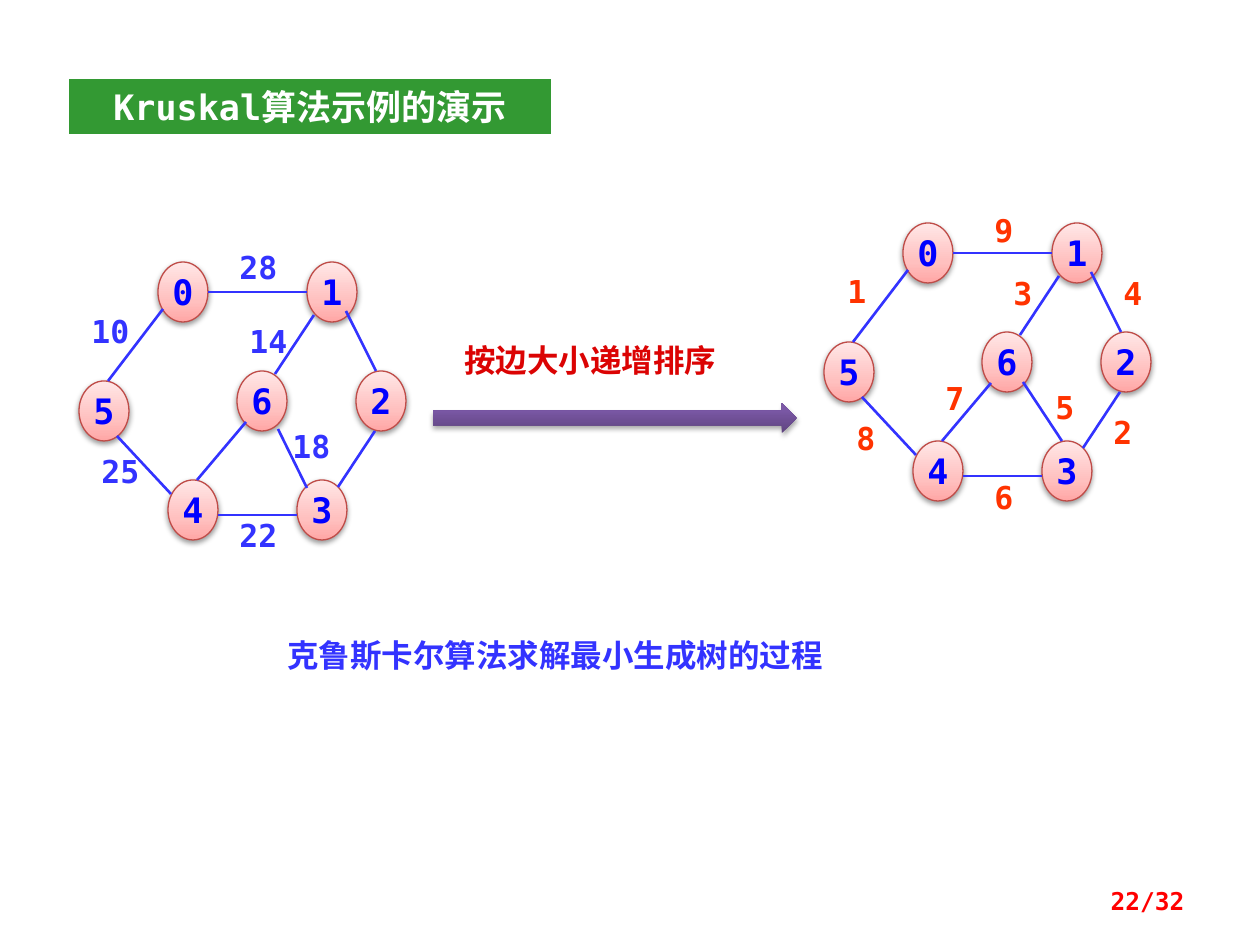
from lxml import etree
from pptx import Presentation
from pptx.dml.color import RGBColor
from pptx.enum.shapes import MSO_CONNECTOR, MSO_SHAPE
from pptx.enum.text import MSO_ANCHOR, PP_ALIGN
from pptx.oxml.ns import qn
from pptx.util import Emu, Pt

SCALE = 914400 / 126
MONO, SERIF, CJK = "DejaVu Sans Mono", "Times New Roman", "Noto Sans CJK SC"
WHITE = RGBColor(0xFF, 0xFF, 0xFF)
GREEN = RGBColor(0x33, 0x99, 0x33)
BLUE = RGBColor(0x33, 0x33, 0xFF)
DIGIT_BLUE = RGBColor(0x00, 0x00, 0xFF)
ORANGE = RGBColor(0xFF, 0x33, 0x00)
RED = RGBColor(0xFF, 0x00, 0x00)
CRIMSON = RGBColor(0xDB, 0x03, 0x03)
NODE_RIM = RGBColor(0xBF, 0x4C, 0x48)
BLACK = RGBColor(0x00, 0x00, 0x00)
PINKS = ((0, RGBColor(0xFF, 0xA6, 0xA5)), (35, RGBColor(0xFF, 0xC0, 0xBF)),
         (100, RGBColor(0xFF, 0xE7, 0xE7)))
PURPLES = ((0, RGBColor(0x5F, 0x44, 0x80)), (80, RGBColor(0x7B, 0x58, 0xA6)),
           (100, RGBColor(0x7C, 0x57, 0xA8)))

NODE_SIZE = (50, 60)
NODES = {"0": (0, 0), "1": (149, 0), "5": (-79, 119), "4": (10, 218),
         "3": (139, 218), "6": (79, 109), "2": (198, 109)}
SHARED_EDGES = [(50, 30, 149, 30), (5, 47, -50, 119), (-41, 174, 13, 232),
                (60, 253, 139, 253), (39, 218, 88, 160), (156, 53, 117, 112),
                (188, 49, 218, 109), (217, 169, 180, 225)]
RANKED = {"origin": (903, 223), "edge_6_3": (120, 159, 159, 218),
          "color": ORANGE, "label_width": 39, "align": PP_ALIGN.CENTER,
          "labels": {"1": (-68, 43), "2": (198, 184), "3": (98, 45),
                     "8": (-59, 190), "6": (79, 249), "7": (30, 150),
                     "9": (79, -18), "5": (140, 159), "4": (208, 45)}}
WEIGHTED = {"origin": (158, 262), "edge_6_3": (120, 167, 149, 226),
            "color": BLUE, "label_width": 69, "align": PP_ALIGN.LEFT,
            "labels": {"28": (69, -20), "10": (-79, 44), "14": (79, 54),
                       "25": (-69, 184), "18": (122, 159), "22": (69, 248)}}


def px(*lengths):
    """Turn pixel lengths into EMU."""
    return [Emu(round(length * SCALE)) for length in lengths]


def write(frame, text, size, color, font=MONO, align=PP_ALIGN.LEFT):
    """Fill a text frame with one bold formatted paragraph."""
    frame.text = text
    paragraph = frame.paragraphs[0]
    paragraph.alignment = align
    run = paragraph.runs[0]
    run.font.name = font
    run.font.size = Pt(size)
    run.font.bold = True
    run.font.color.rgb = color
    etree.SubElement(run.font._element, qn("a:ea"), typeface=CJK)


def add_label(shapes, box, text, size, color, **style):
    """Add a wrapping text box and return its frame."""
    frame = shapes.add_textbox(*px(*box)).text_frame
    frame.word_wrap = True
    write(frame, text, size, color, **style)
    return frame


def add_color(parent, color):
    """Append a colour element."""
    return etree.SubElement(parent, qn("a:srgbClr"), val=str(color))


def add_gradient(shape, stops):
    """Give a shape an upward gradient fill."""
    geometry = shape._element.spPr.find(qn("a:prstGeom"))
    gradient = etree.Element(qn("a:gradFill"), rotWithShape="1")
    stop_list = etree.SubElement(gradient, qn("a:gsLst"))
    for percent, color in stops:
        add_color(etree.SubElement(stop_list, qn("a:gs"), pos=str(percent * 1000)), color)
    etree.SubElement(gradient, qn("a:lin"), ang="16200000", scaled="0")
    geometry.addnext(gradient)


def add_shadow(shape, opacity, distance):
    """Give a shape a soft shadow below it."""
    shape.shadow.inherit = False
    effects = shape._element.spPr.find(qn("a:effectLst"))
    shadow = etree.SubElement(effects, qn("a:outerShdw"), blurRad=str(Pt(3.1)),
                              dist=str(Pt(distance)), dir="5400000", rotWithShape="0")
    etree.SubElement(add_color(shadow, BLACK), qn("a:alpha"), val=str(opacity * 1000))


def add_node(shapes, left, top, digit):
    """Add a graph vertex."""
    node = shapes.add_shape(MSO_SHAPE.OVAL, *px(left, top, *NODE_SIZE))
    add_gradient(node, PINKS)
    node.line.color.rgb = NODE_RIM
    node.line.width = Pt(0.75)
    add_shadow(node, 38, 1.6)
    frame = node.text_frame
    frame.word_wrap = False
    frame.vertical_anchor = MSO_ANCHOR.MIDDLE
    write(frame, digit, 20, DIGIT_BLUE, align=PP_ALIGN.CENTER)


def add_edge(shapes, *ends):
    """Add a graph edge."""
    edge = shapes.add_connector(MSO_CONNECTOR.STRAIGHT, *px(*ends))
    edge.line.color.rgb = BLUE
    edge.line.width = Pt(1.5)
    etree.SubElement(edge._element.spPr, qn("a:effectLst"))


def add_graph(slide, graph):
    """Add a grouped graph with its edge labels."""
    shapes = slide.shapes.add_group_shape().shapes
    left, top = graph["origin"]
    for digit, (x, y) in NODES.items():
        add_node(shapes, left + x, top + y, digit)
    for x1, y1, x2, y2 in SHARED_EDGES + [graph["edge_6_3"]]:
        add_edge(shapes, left + x1, top + y1, left + x2, top + y2)
    for text, (x, y) in graph["labels"].items():
        add_label(shapes, (left + x, top + y, graph["label_width"], 50), text,
                  18, graph["color"], align=graph["align"])


def add_title(slide, text):
    """Add the title banner."""
    banner = slide.shapes.add_shape(MSO_SHAPE.RECTANGLE, *px(69, 79, 482, 55))
    banner.fill.solid()
    banner.fill.fore_color.rgb = GREEN
    banner.line.fill.background()
    banner.shadow.inherit = False
    banner.text_frame.vertical_anchor = MSO_ANCHOR.TOP
    write(banner.text_frame, text, 20, WHITE, align=PP_ALIGN.CENTER)


def add_sorting_step(slide, text):
    """Add the labelled arrow between the graphs."""
    shapes = slide.shapes.add_group_shape().shapes
    add_label(shapes, (452, 335, 348, 50), text, 18, CRIMSON, font=CJK)
    arrow = shapes.add_shape(MSO_SHAPE.RIGHT_ARROW, *px(433, 403, 364, 30))
    add_gradient(arrow, PURPLES)
    arrow.line.fill.background()
    add_shadow(arrow, 35, 1.8)


def main():
    """Build and save the slide."""
    deck = Presentation()
    deck.slide_width, deck.slide_height = px(1260, 945)
    slide = deck.slides.add_slide(deck.slide_layouts[6])
    add_label(slide.shapes, (275, 630, 765, 50), "克鲁斯卡尔算法求解最小生成树的过程",
              18, BLUE, font=SERIF)
    add_title(slide, "Kruskal算法示例的演示")
    add_graph(slide, RANKED)
    add_sorting_step(slide, "按边大小递增排序")
    add_graph(slide, WEIGHTED)
    page = add_label(slide.shapes, (903, 876, 294, 50), "22/32", 14, RED,
                     align=PP_ALIGN.RIGHT)
    page.vertical_anchor = MSO_ANCHOR.MIDDLE
    deck.save("out.pptx")


if __name__ == "__main__":
    main()
